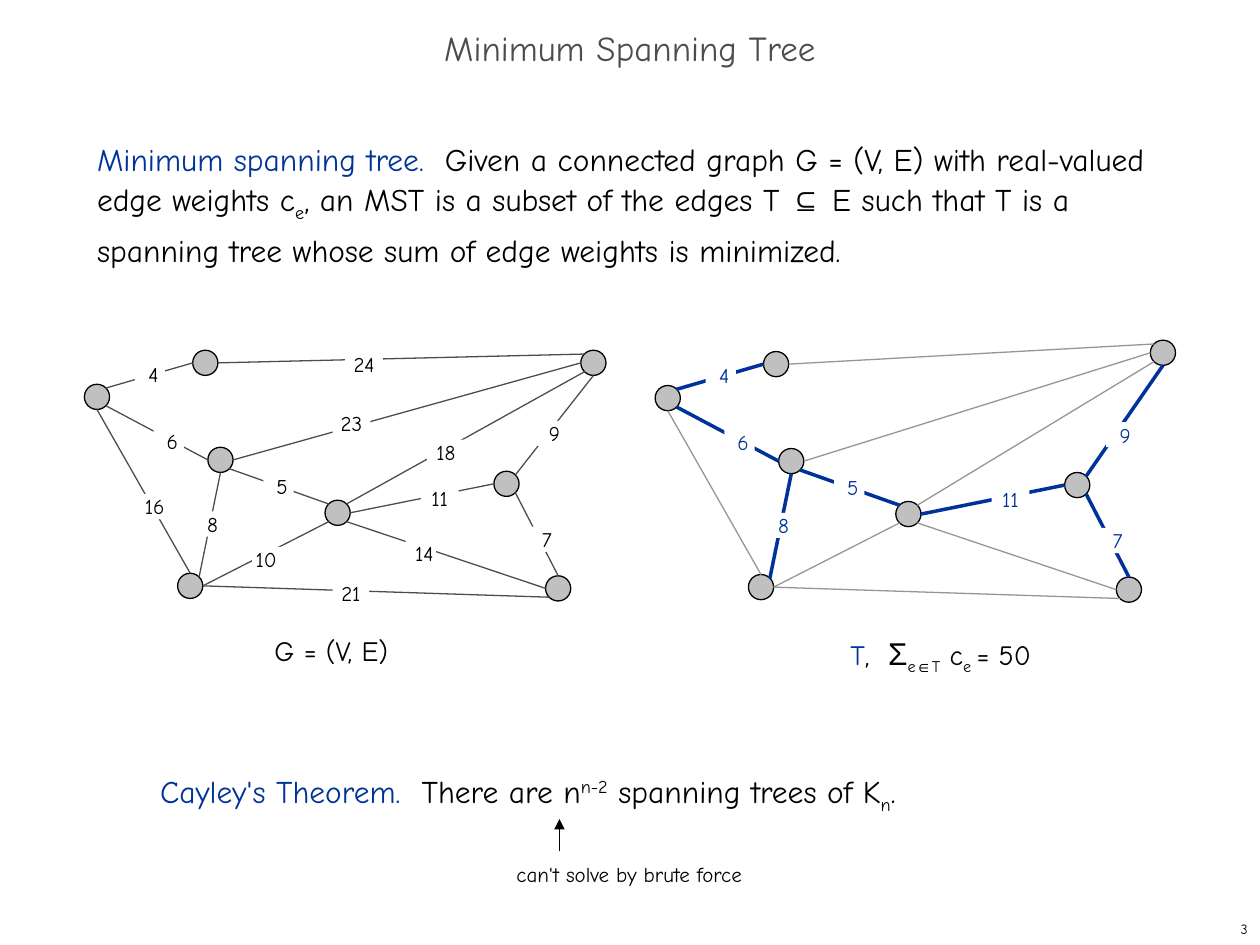
from dataclasses import dataclass
from typing import NamedTuple

from pptx import Presentation
from pptx.dml.color import RGBColor
from pptx.enum import shapes, text
from pptx.oxml.ns import qn
from pptx.util import Inches, Pt
from lxml import etree


@dataclass(frozen=True)
class Theme:
    font: str = "Comic Neue"
    symbol_font: str = "Arial"
    black: str = "000000"
    blue: str = "003399"
    title: str = "4D4D4D"
    edge: str = "4D4D4D"
    faded: str = "969696"
    node: str = "C0C0C0"
    white: str = "FFFFFF"
    title_size: int = 20
    body_size: int = 18
    caption_size: int = 16
    small_size: int = 12
    number_size: int = 8
    thin: float = 0.75
    thick: float = 2


class Point(NamedTuple):
    x: float
    y: float


class Piece(NamedTuple):
    words: str
    color: str = "000000"
    baseline: int = 0
    font: str = "Comic Neue"
    size: int = 0


class Edge(NamedTuple):
    start: str
    start_side: str
    end: str
    end_side: str
    label: str
    label_at: Point
    label_width: float
    in_tree: bool = False


THEME = Theme()
NODE_SIZE = 0.2
SIDES = {
    "N": Point(0.1, 0), "NE": Point(0.17, 0.03), "E": Point(0.2, 0.1), "SE": Point(0.17, 0.17),
    "S": Point(0.1, 0.2), "SW": Point(0.03, 0.17), "W": Point(0, 0.1), "NW": Point(0.03, 0.03),
}
NODES = {
    "a": Point(0.67, 3.05), "b": Point(4.61, 2.78), "c": Point(4.33, 4.57), "d": Point(1.53, 2.78),
    "e": Point(1.65, 3.55), "f": Point(1.41, 4.55), "g": Point(3.92, 3.74), "h": Point(2.58, 3.97),
}
EDGES = [
    Edge("a", "NE", "d", "W", " 4", Point(1.07, 2.87), 0.24, True),
    Edge("a", "SE", "e", "W", " 6", Point(1.22, 3.4), 0.24, True),
    Edge("a", "S", "f", "N", " 16", Point(1.08, 3.92), 0.24),
    Edge("e", "E", "b", "W", "23", Point(2.64, 3.26), 0.3),
    Edge("g", "NE", "b", "S", "9", Point(4.25, 3.34), 0.3, True),
    Edge("e", "SE", "h", "NW", " 5", Point(2.09, 3.76), 0.24, True),
    Edge("h", "SE", "c", "W", " 14", Point(3.22, 4.29), 0.24),
    Edge("h", "E", "g", "W", "11", Point(3.34, 3.85), 0.3, True),
    Edge("g", "SE", "c", "N", "7", Point(4.19, 4.18), 0.3, True),
    Edge("b", "SW", "h", "NE", "18", Point(3.39, 3.49), 0.3),
    Edge("e", "S", "f", "NE", " 8", Point(1.54, 4.06), 0.24, True),
    Edge("f", "E", "h", "SW", "10 ", Point(2, 4.34), 0.28),
    Edge("d", "E", "b", "NW", "24", Point(2.74, 2.79), 0.3),
    Edge("f", "E", "c", "SW", "21", Point(2.64, 4.61), 0.29),
]


def shifted(point: Point, offset: Point) -> Point:
    return Point(point.x + offset.x, point.y + offset.y)


def place(shape, left: float, top: float, width: float, height: float) -> None:
    shape.left, shape.top = Inches(left), Inches(top)
    shape.width, shape.height = Inches(width), Inches(height)


def write(paragraph, pieces: list[Piece], size: int) -> None:
    for piece in pieces:
        run = paragraph.add_run()
        run.text = piece.words
        run.font.name = piece.font
        run.font.size = Pt(piece.size or size)
        run.font.color.rgb = RGBColor.from_string(piece.color)
        if piece.baseline:
            run._r.get_or_add_rPr().set("baseline", str(piece.baseline * 1000))


def add_text(slide, box: tuple, pieces: list[Piece], size: int, wrap: bool = True):
    shape = slide.shapes.add_textbox(*map(Inches, box))
    shape.text_frame.word_wrap = wrap
    write(shape.text_frame.paragraphs[0], pieces, size)
    return shape


def add_line(slide, start: Point, end: Point, color: str, width: float, arrow: bool = False) -> None:
    connector = slide.shapes.add_connector(
        shapes.MSO_CONNECTOR.STRAIGHT,
        Inches(start.x), Inches(start.y), Inches(end.x), Inches(end.y),
    )
    connector.line.color.rgb = RGBColor.from_string(color)
    connector.line.width = Pt(width)
    properties = connector._element.spPr
    if arrow:
        etree.SubElement(properties.find(qn("a:ln")), qn("a:tailEnd"), type="triangle")
    etree.SubElement(properties, qn("a:effectLst"))


def add_node(slide, at: Point) -> None:
    shape = slide.shapes.add_shape(
        shapes.MSO_SHAPE.OVAL, Inches(at.x), Inches(at.y), Inches(NODE_SIZE), Inches(NODE_SIZE)
    )
    shape.shadow.inherit = False
    shape.fill.solid()
    shape.fill.fore_color.rgb = RGBColor.from_string(THEME.node)
    shape.line.color.rgb = RGBColor.from_string(THEME.black)
    shape.line.width = Pt(THEME.thin)


def add_weight(slide, at: Point, width: float, label: str, color: str) -> None:
    shape = slide.shapes.add_shape(
        shapes.MSO_SHAPE.RECTANGLE, Inches(at.x), Inches(at.y), Inches(width), Inches(0.2)
    )
    shape.shadow.inherit = False
    shape.fill.solid()
    shape.fill.fore_color.rgb = RGBColor.from_string(THEME.white)
    shape.line.fill.background()
    frame = shape.text_frame
    frame.margin_left = frame.margin_right = frame.margin_top = frame.margin_bottom = 0
    frame.vertical_anchor = text.MSO_ANCHOR.TOP
    frame.word_wrap = True
    frame.auto_size = text.MSO_AUTO_SIZE.SHAPE_TO_FIT_TEXT
    frame.paragraphs[0].alignment = text.PP_ALIGN.CENTER
    write(frame.paragraphs[0], [Piece(label, color)], THEME.small_size)


def add_graph(slide, nodes: dict[str, Point], offset: Point, tree_only: bool) -> None:
    for node in nodes.values():
        add_node(slide, node)
    for edge in EDGES:
        start = shifted(nodes[edge.start], SIDES[edge.start_side])
        end = shifted(nodes[edge.end], SIDES[edge.end_side])
        if tree_only and edge.in_tree:
            add_line(slide, start, end, THEME.blue, THEME.thick)
        else:
            add_line(slide, start, end, THEME.faded if tree_only else THEME.edge, THEME.thin)
    for edge in EDGES:
        if edge.in_tree or not tree_only:
            color = THEME.blue if tree_only else THEME.black
            add_weight(slide, shifted(edge.label_at, offset), edge.label_width, edge.label, color)


def fill_title(title) -> None:
    place(title, 0, 0.17, 10, 0.5)
    title.text_frame.vertical_anchor = text.MSO_ANCHOR.MIDDLE
    title.text_frame.auto_size = text.MSO_AUTO_SIZE.NONE
    paragraph = title.text_frame.paragraphs[0]
    paragraph.alignment = text.PP_ALIGN.CENTER
    paragraph.line_spacing = 0.7
    write(paragraph, [Piece("Minimum Spanning Tree", THEME.title)], THEME.title_size)


def fill_body(body) -> None:
    place(body, 0.67, 1, 8.58, 5.92)
    frame = body.text_frame
    frame.auto_size = text.MSO_AUTO_SIZE.NONE
    definition = [
        Piece("Minimum spanning tree.  ", THEME.blue),
        Piece("Given a connected graph G = (V, E) with real-valued edge weights c"),
        Piece("e", baseline=-25),
        Piece(", an MST is a subset of the edges T "),
        Piece("⊆", font=THEME.symbol_font),
        Piece(" E such that T is a spanning tree whose sum of edge weights is minimized."),
    ]
    theorem = [
        Piece("Cayley's Theorem.  ", THEME.blue), Piece("There are n"), Piece("n-2", baseline=30),
        Piece(" spanning trees of K"), Piece("n", baseline=-25), Piece("."),
    ]
    rows = [(frame.paragraphs[0], definition, 0, 0), (frame.add_paragraph(), theorem, 0.5, 286)]
    for paragraph, pieces, indent, gap in rows:
        properties = paragraph._p.get_or_add_pPr()
        properties.set("marL", str(Inches(indent)))
        properties.set("indent", "0")
        etree.SubElement(properties, qn("a:buNone"))
        paragraph.line_spacing = Pt(26)
        paragraph.space_before = Pt(gap)
        write(paragraph, pieces, THEME.body_size)


def main() -> None:
    presentation = Presentation()
    presentation.slide_width, presentation.slide_height = Inches(10), Inches(7.5)
    slide = presentation.slides.add_slide(presentation.slide_layouts[1])
    number = add_text(slide, (7.92, 7.25, 2.08, 0.25), [Piece("3")], THEME.number_size)
    number.text_frame.vertical_anchor = text.MSO_ANCHOR.MIDDLE
    number.text_frame.paragraphs[0].alignment = text.PP_ALIGN.RIGHT
    fill_title(slide.shapes.title)
    fill_body(slide.placeholders[1])

    offset = Point(4.53, 0.01)
    tree_nodes = {name: shifted(node, offset) for name, node in NODES.items()}
    tree_nodes["b"] = Point(9.13, 2.7)
    add_graph(slide, NODES, Point(0, 0), False)
    add_graph(slide, tree_nodes, offset, True)

    add_text(slide, (2.08, 4.98, 1.42, 0.37), [Piece("G = (V, E)")], THEME.caption_size)
    cost = [
        Piece("T", THEME.blue), Piece(",  "), Piece("Σ", font=THEME.symbol_font, size=THEME.body_size),
        Piece("e", baseline=-25), Piece("∈", baseline=-25, font=THEME.symbol_font),
        Piece("T", baseline=-25), Piece(" c"), Piece("e ", baseline=-25), Piece("= 50"),
    ]
    add_text(slide, (6.65, 4.98, 1.83, 0.43), cost, THEME.caption_size)
    add_line(slide, Point(4.44, 6.75), Point(4.44, 6.5), THEME.black, THEME.thin, arrow=True)
    add_text(slide, (4, 6.79, 2.01, 0.3), [Piece("can't solve by brute force")], THEME.small_size, wrap=False)
    presentation.save("out.pptx")


if __name__ == "__main__":
    main()
